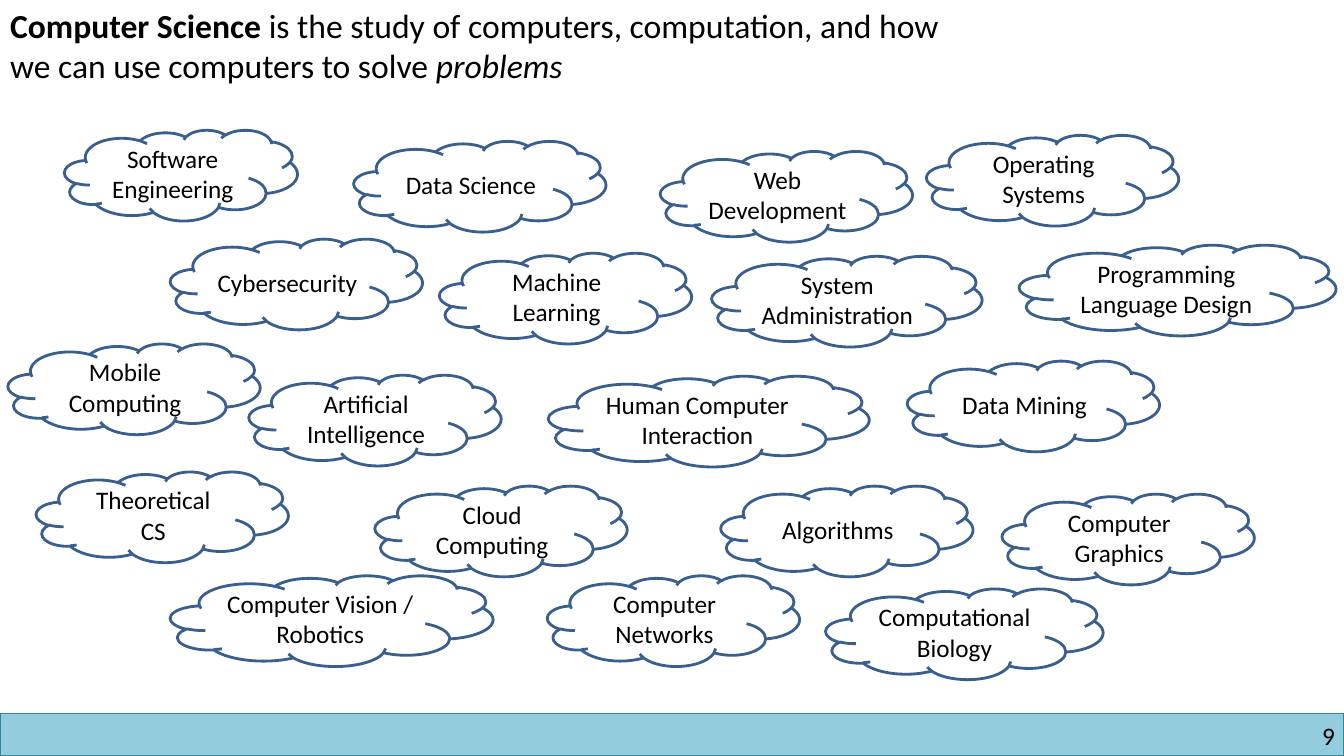
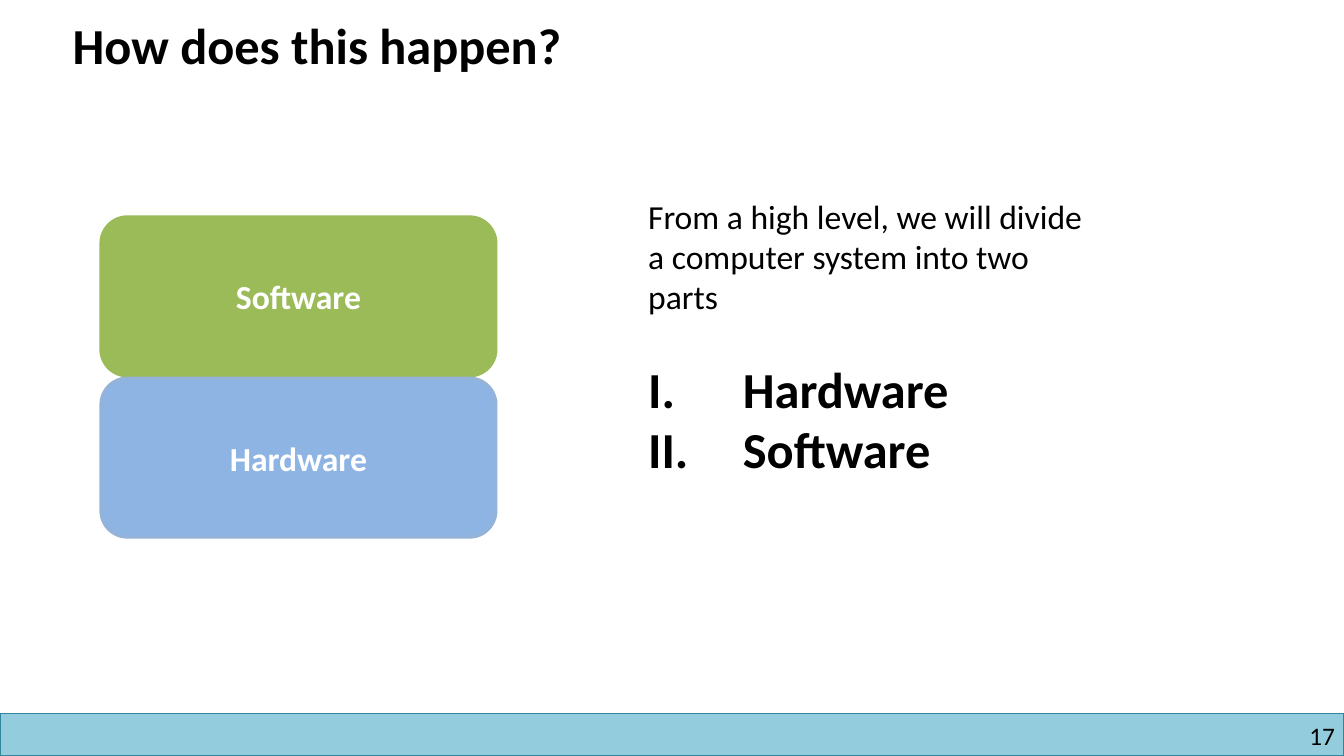
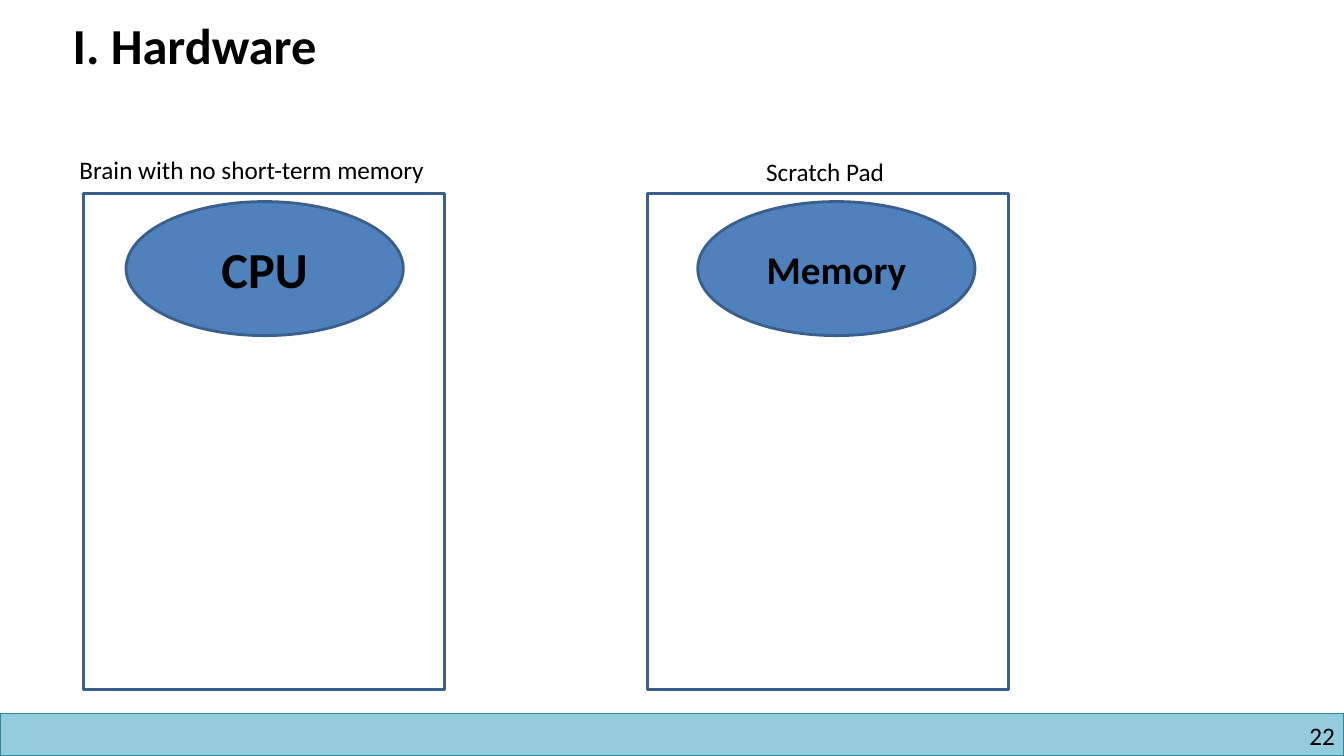
from dataclasses import dataclass
from typing import Optional

from lxml.etree import SubElement
from pptx import Presentation
from pptx.dml.color import RGBColor as RGB
from pptx.enum.shapes import MSO_SHAPE as Kind
from pptx.enum.text import MSO_ANCHOR as Anchor, MSO_AUTO_SIZE as Fit, PP_ALIGN as Align
from pptx.oxml.ns import qn
from pptx.util import Inches, Pt


@dataclass(frozen=True)
class Theme:
    font: str = "Calibri"
    ink: str = "000000"
    white: str = "FFFFFF"
    edge: str = "3A5F8C"
    blue: str = "4F81BD"
    green: str = "9BBB59"
    sky: str = "8EB4E3"
    rim: str = "95B3D7"
    band: str = "93CDDD"
    teal: str = "31859C"
    small: int = 18
    body: int = 24
    large: int = 28
    head: int = 36


THEME = Theme()


@dataclass(frozen=True)
class Box:
    left: float
    top: float
    width: float
    height: float

    def place(self) -> tuple:
        return tuple(Inches(n) for n in (self.left, self.top, self.width, self.height))


@dataclass(frozen=True)
class Look:
    fill: Optional[str] = None
    line: str = THEME.edge
    weight: float = 2


@dataclass(frozen=True)
class Type:
    size: int = THEME.small
    bold: Optional[bool] = None
    color: str = THEME.ink
    align: Align = Align.LEFT


@dataclass(frozen=True)
class Cloud:
    text: str
    left: float
    top: float
    width: float = 2.5


@dataclass(frozen=True)
class Part:
    name: str
    note: str
    left: float
    oval: float
    size: int
    label: Box


@dataclass(frozen=True)
class Layer:
    name: str
    look: Look


WIDTH, HEIGHT = 13.33, 7.5
BAND = Box(0, 7.08, WIDTH, 0.42)
HEADING = Box(0.62, 0.09, 9.54, 0.71)
OUTLINE = Look()

CLOUDS = (
    Cloud("Software Engineering", 0.64, 1.29, 2.31),
    Cloud("Data Science", 3.51, 1.4),
    Cloud("Web Development", 6.55, 1.5),
    Cloud("Operating Systems", 9.19, 1.34),
    Cloud("Cybersecurity", 1.69, 2.37),
    Cloud("Machine Learning", 4.36, 2.51),
    Cloud("System Administration", 7.06, 2.54, 2.68),
    Cloud("Programming Language Design", 10.11, 2.43, 3.14),
    Cloud("Mobile Computing", 0.08, 3.41),
    Cloud("Artificial Intelligence", 2.47, 3.72),
    Cloud("Human Computer Interaction", 5.44, 3.73, 3.18),
    Cloud("Data Mining", 9, 3.58),
    Cloud("Theoretical CS", 0.36, 4.68),
    Cloud("Cloud Computing", 3.72, 4.82),
    Cloud("Algorithms", 7.15, 4.82),
    Cloud("Computer Graphics", 9.94, 4.9),
    Cloud("Computer Vision / Robotics", 1.69, 5.71, 3.2),
    Cloud("Computer Networks", 5.43, 5.71),
    Cloud("Computational Biology", 8.19, 5.84, 2.75),
)

LAYERS = (
    Layer("Software", Look(THEME.green, THEME.green)),
    Layer("Hardware", Look(THEME.sky, THEME.rim)),
)

PARTS = (
    Part("CPU", "Brain with no short-term memory", 0.83, 1.25, THEME.head,
         Box(0.69, 1.48, 3.86, 0.4)),
    Part("Memory", "Scratch Pad", 6.42, 6.92, THEME.large,
         Box(7.5, 1.5, 1.58, 0.4)),
)


def style(para, kind: Type) -> None:
    para.alignment = kind.align
    font = para.font
    font.name = THEME.font
    font.size = Pt(kind.size)
    font.bold = kind.bold
    font.color.rgb = RGB.from_string(kind.color)


def add_text(slide, box: Box, text: str, kind: Type = Type()):
    frame = slide.shapes.add_textbox(*box.place()).text_frame
    frame.word_wrap = True
    frame.text = text
    for para in frame.paragraphs:
        style(para, kind)
    return frame


def add_form(slide, form: Kind, box: Box, look: Look = OUTLINE,
             text: str = "", kind: Type = Type(align=Align.CENTER)) -> None:
    shape = slide.shapes.add_shape(form, *box.place())
    shape.shadow.inherit = False
    if look.fill:
        shape.fill.solid()
        shape.fill.fore_color.rgb = RGB.from_string(look.fill)
    else:
        shape.fill.background()
    shape.line.color.rgb = RGB.from_string(look.line)
    shape.line.width = Pt(look.weight)
    if text:
        frame = shape.text_frame
        frame.vertical_anchor = Anchor.MIDDLE
        frame.text = text
        style(frame.paragraphs[0], kind)


def add_page(deck, number: int, box: Box, kind: Type, title: str = ""):
    slide = deck.slides.add_slide(deck.slide_layouts[5])
    add_form(slide, Kind.RECTANGLE, BAND, Look(THEME.band, THEME.teal, 1))
    foot = add_text(slide, Box(10.17, 7.15, 3.07, 0.3), str(number), Type(align=Align.RIGHT))
    foot.margin_left = foot.margin_right = foot.margin_top = foot.margin_bottom = 0
    head = slide.shapes.title
    head.left, head.top, head.width, head.height = box.place()
    frame = head.text_frame
    frame.auto_size = Fit.NONE
    frame.word_wrap = True
    frame.vertical_anchor = Anchor.TOP
    frame.text = title
    style(frame.paragraphs[0], kind)
    return slide


def add_roman(para) -> None:
    props = para._p.get_or_add_pPr()
    props.set("marL", str(Inches(0.94)))
    props.set("indent", str(-Inches(0.94)))
    SubElement(props, qn("a:buFont"), typeface=THEME.font)
    SubElement(props, qn("a:buAutoNum"), type="romanUcPeriod")


def draw_fields(deck) -> None:
    slide = add_page(deck, 9, Box(0, 0, 9.75, 0.91), Type(THEME.body, False))
    para = slide.shapes.title.text_frame.paragraphs[0]
    for text, bold, slant in (
        ("Computer Science ", True, None),
        ("is the study of computers, computation, and how we can use computers to solve ",
         None, None),
        ("problems", None, True),
    ):
        run = para.add_run()
        run.text = text
        run.font.bold = bold
        run.font.italic = slant
    for cloud in CLOUDS:
        add_form(slide, Kind.CLOUD, Box(cloud.left, cloud.top, cloud.width, 0.9),
                 text=cloud.text)


def draw_layers(deck) -> None:
    slide = add_page(deck, 17, HEADING, Type(THEME.head, True), "How does this happen?")
    add_text(slide, Box(6.33, 1.89, 4.52, 1.31),
             "From a high level, we will divide a computer system into two parts",
             Type(THEME.body))
    kind = Type(THEME.body, True, THEME.white, Align.CENTER)
    for row, layer in enumerate(LAYERS):
        add_form(slide, Kind.ROUNDED_RECTANGLE, Box(1, 2.15 + 1.6 * row, 3.92, 1.58),
                 layer.look, layer.name, kind)
    frame = add_text(slide, Box(6.33, 3.5, 3.45, 1.31), "")
    frame.text = "Hardware\nSoftware"
    for para in frame.paragraphs:
        add_roman(para)
        style(para, Type(THEME.head, True))


def draw_parts(deck) -> None:
    slide = add_page(deck, 22, HEADING, Type(THEME.head, True), "I. Hardware")
    for part in PARTS:
        add_form(slide, Kind.OVAL, Box(part.oval, 2, 2.75, 1.33),
                 Look(THEME.blue), part.name, Type(part.size, True, align=Align.CENTER))
        add_form(slide, Kind.RECTANGLE, Box(part.left, 1.92, 3.58, 4.92))
        add_text(slide, part.label, part.note)


def main() -> None:
    deck = Presentation()
    deck.slide_width, deck.slide_height = Inches(WIDTH), Inches(HEIGHT)
    for draw in (draw_fields, draw_layers, draw_parts):
        draw(deck)
    deck.save("out.pptx")


if __name__ == "__main__":
    main()
